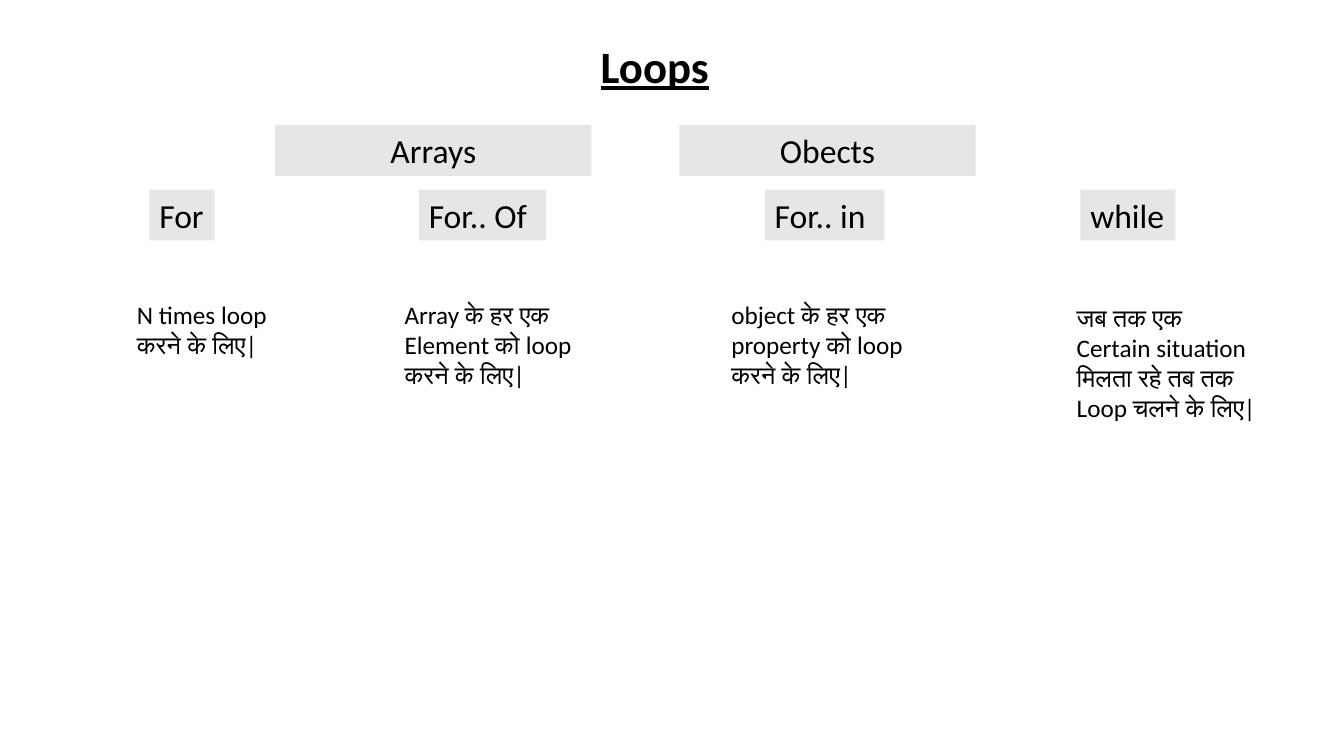
from pptx import Presentation
from pptx.dml.color import RGBColor
from pptx.enum.text import MSO_AUTO_SIZE, PP_ALIGN
from pptx.util import Pt

LEFT, CENTER = PP_ALIGN.LEFT, PP_ALIGN.CENTER
GROW = MSO_AUTO_SIZE.SHAPE_TO_FIT_TEXT
FONT = "Calibri"
BLACK, GREY = "000000", "E7E6E6"
GROUP_TOP, LOOP_TOP, LABEL_HEIGHT = 89.3, 135.4, 36.35
LINE_HEIGHT, PADDING = 21.6, 7.2

# text, left, width
GROUPS = [("Arrays", 196.5, 226), ("Obects", 485.3, 211.7)]
LOOPS = [
    ("For", 106.7, 46.7),
    ("For.. Of ", 299.2, 90.9),
    ("For.. in ", 546.3, 85.5),
    ("while", 771.7, 67.9),
]
# left, top, width, lines
PURPOSES = [
    (90.7, 210.1, 112.6, ["N times loop", "करने के लिए| "]),
    (281.9, 210.1, 137.2, ["Array के हर एक ", "Element को loop", "करने के लिए| "]),
    (515.3, 210.1, 141.8, ["object के हर एक ", "property को loop", "करने के लिए| "]),
    (762, 212.2, 149.8, ["जब तक एक ", "Certain situation ", "मिलता रहे तब तक",
                         "Loop चलने के लिए|"]),
]


def color(value):
    """Turn a hex string into a colour."""
    return RGBColor.from_string(value)


def add_text(slide, box, lines, size, align=LEFT, wrap=False):
    """Add a text box with one paragraph per line and return it."""
    shape = slide.shapes.add_textbox(*(Pt(length) for length in box))
    frame = shape.text_frame
    frame.word_wrap = wrap
    frame.auto_size = GROW
    for index, line in enumerate(lines):
        paragraph = frame.add_paragraph() if index else frame.paragraphs[0]
        paragraph.alignment = align
        run = paragraph.add_run()
        run.text = line
        run.font.name = FONT
        run.font.size = Pt(size)
        run.font.color.rgb = color(BLACK)
    return shape


def add_title(slide, text):
    """Add the bold, underlined heading."""
    shape = add_text(slide, (422, 24, 92.6, 46), [text], 32)
    font = shape.text_frame.paragraphs[0].runs[0].font
    font.bold = True
    font.underline = True


def add_label(slide, text, left, top, width, align=LEFT, wrap=False):
    """Add a label on a grey ground."""
    box = (left, top, width, LABEL_HEIGHT)
    shape = add_text(slide, box, [text], 24, align, wrap)
    shape.fill.solid()
    shape.fill.fore_color.rgb = color(GREY)


def add_purpose(slide, left, top, width, lines):
    """Add the explanation of one loop, as high as its lines need."""
    height = len(lines) * LINE_HEIGHT + PADDING
    add_text(slide, (left, top, width, height), lines, 18)


def main():
    """Build the slide about loops and save it."""
    presentation = Presentation()
    presentation.slide_width = Pt(960)
    presentation.slide_height = Pt(540)
    slide = presentation.slides.add_slide(presentation.slide_layouts[6])

    add_title(slide, "Loops")
    for text, left, width in LOOPS:
        add_label(slide, text, left, LOOP_TOP, width)
    for text, left, width in GROUPS:
        add_label(slide, text, left, GROUP_TOP, width, CENTER, True)
    for purpose in PURPOSES:
        add_purpose(slide, *purpose)

    presentation.save("out.pptx")


main()
